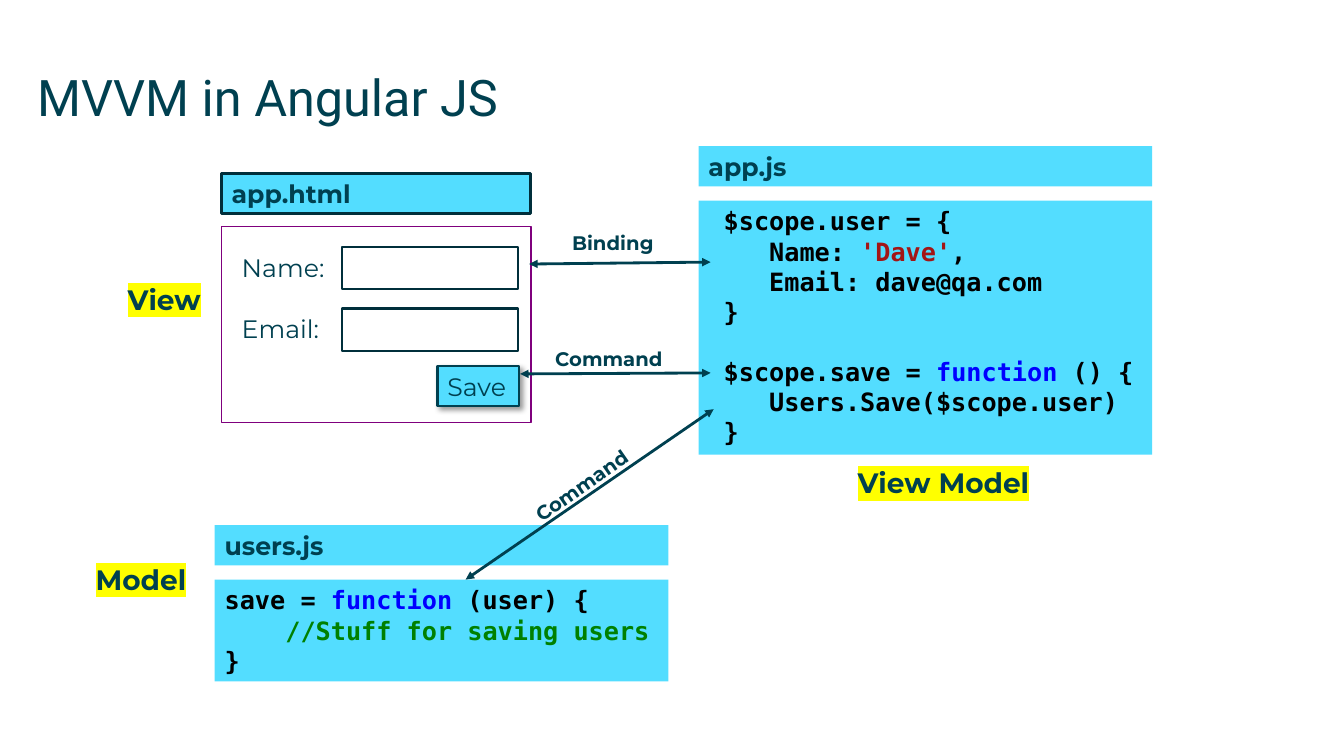
import lxml.etree
import pptx
import pptx.dml.color
import pptx.enum.shapes
import pptx.enum.text
import pptx.oxml.ns
import pptx.util

Pt = pptx.util.Pt
qn = pptx.oxml.ns.qn
Align = pptx.enum.text.PP_ALIGN
HUES = {
    "ink": "004050", "dark": "002F3B", "cyan": "53DDFF", "white": "FFFFFF",
    "plum": "7F007D", "black": "000000", "red": "A31515", "blue": "0000FF",
    "green": "008000", "glow": "FFFF00",
}


def hue(name):
    return pptx.dml.color.RGBColor.from_string(HUES[name])


def add(parent, tag, **attrs):
    return lxml.etree.SubElement(parent, qn(tag), attrs)


class Board:
    sans = "Montserrat"
    mono = "DejaVu Sans Mono"
    head = "Roboto"
    gap = 38.9
    bar = 28.8

    def __init__(self, slide):
        self.shapes = slide.shapes

    def letter(self, shape, lines, size=18, font=sans, bold=False,
               align=Align.LEFT, mark=False, inset=(7.2, 3.6), wrap=True):
        frame = shape.text_frame
        frame.word_wrap = wrap
        frame.vertical_anchor = pptx.enum.text.MSO_ANCHOR.TOP
        frame.margin_left = frame.margin_right = Pt(inset[0])
        frame.margin_top = frame.margin_bottom = Pt(inset[1])
        for i, line in enumerate(lines):
            para = frame.add_paragraph() if i else frame.paragraphs[0]
            para.alignment = align
            for text, tint in line:
                run = para.add_run()
                run.text = text
                run.font.size = Pt(size)
                run.font.bold = bold
                run.font.name = font
                run.font.color.rgb = hue(tint)
                if mark:
                    props = run.font._element
                    light = add(props, "a:highlight")
                    add(light, "a:srgbClr", val=HUES["glow"])
                    props.find(qn("a:solidFill")).addnext(light)
        return frame

    def text(self, words, x, y, w, h, turn=0, **style):
        box = self.shapes.add_textbox(Pt(x), Pt(y), Pt(w), Pt(h))
        box.rotation = turn
        self.letter(box, [[(words, "ink")]], **style)

    def rect(self, x, y, w, h, fill="cyan", edge=None, width=1.5):
        kind = pptx.enum.shapes.MSO_SHAPE.RECTANGLE
        shape = self.shapes.add_shape(kind, Pt(x), Pt(y), Pt(w), Pt(h))
        shape.shadow.inherit = False
        shape.fill.solid()
        shape.fill.fore_color.rgb = hue(fill)
        if edge:
            shape.line.color.rgb = hue(edge)
            shape.line.width = Pt(width)
        else:
            shape.line.fill.background()
        return shape

    def title(self, name, x, y, w, edge=None):
        shape = self.rect(x, y - self.gap, w, self.bar, edge=edge, width=2)
        self.letter(shape, [[(name, "ink")]], bold=True)

    def code(self, name, x, y, w, h, lines):
        self.title(name, x, y, w)
        return self.letter(self.rect(x, y, w, h), lines, font=self.mono, bold=True)

    def field(self, name, y):
        self.text(name, 165.6, y, 78, self.bar)
        self.rect(244.1, y, 126, 30.2, "white", "dark")

    def button(self, name, x, y, w):
        shape = self.rect(x, y, w, self.bar, edge="ink")
        self.letter(shape, [[(name, "ink")]])
        effects = shape._element.spPr.find(qn("a:effectLst"))
        shade = add(effects, "a:outerShdw", blurRad=str(Pt(4)), dist=str(Pt(3)),
                    dir="2700000", algn="tl", rotWithShape="0")
        tint = add(shade, "a:srgbClr", val=HUES["black"])
        add(tint, "a:alpha", val="40000")

    def role(self, name, x, y, w, align=Align.LEFT):
        self.text(name, x, y, w, 31.7, size=20, bold=True, mark=True, align=align)

    def link(self, name, start, end, label, turn=0):
        kind = pptx.enum.shapes.MSO_CONNECTOR.STRAIGHT
        line = self.shapes.add_connector(kind, *map(Pt, start + end))
        line.line.color.rgb = hue("ink")
        line.line.width = Pt(2)
        stroke = line.line._get_or_add_ln()
        add(stroke, "a:headEnd", type="triangle")
        add(stroke, "a:tailEnd", type="triangle")
        add(line._element.spPr, "a:effectLst")
        self.text(name, *label, turn=turn, size=14, bold=True,
                  align=Align.CENTER, wrap=False)


def main():
    deck = pptx.Presentation()
    deck.slide_width, deck.slide_height = Pt(960), Pt(540)
    board = Board(deck.slides.add_slide(deck.slide_layouts[6]))

    board.text("MVVM in Angular JS", 26.6, 43.9, 907.2, 63.4,
               size=36, font=board.head, inset=(0, 3.6))

    board.rect(158.4, 162, 221, 139.7, "white", "plum", 1)
    board.title("app.html", 158.4, 162.7, 220.3, "dark")
    for row, name in enumerate(["Name:", "Email:"]):
        board.field(name, 176.4 + 44 * row)
    board.button("Save", 312.5, 261.4, 58.3)

    frame = board.code("app.js", 499, 143.3, 324, 181.4, [
        [(" $scope.user = {", "black")],
        [("    Name: ", "black"), ("'Dave'", "red"), (",", "black")],
        [("    Email: dave@qa.com", "black")],
        [(" }", "black")],
        [(" $scope.save = ", "black"), ("function", "blue"), (" () {", "black")],
        [("    Users.Save($scope.user)", "black")],
        [(" }", "black")],
    ])
    frame.paragraphs[4].space_before = Pt(21)

    board.code("users.js", 153.4, 414, 324, 72.7, [
        [("save = ", "black"), ("function", "blue"), (" (user) {", "black")],
        [("    ", "black"), ("//Stuff for saving users", "green")],
        [("}", "black")],
    ])

    board.role("View", 84.2, 198, 117.4)
    board.role("View Model", 577.4, 329, 164.9, Align.RIGHT)
    board.role("Model", 61.2, 398.2, 104.4)

    board.link("Binding", (378, 188.6), (507.6, 187.2), (400.3, 161.3, 74.9, 41))
    board.link("Command", (371.5, 267.1), (507.6, 266.4), (388.8, 244.1, 92.2, 41))
    board.link("Command", (332.6, 414), (509.8, 292.3),
               (369.4, 334.8, 92.2, 24.5), 325.1)

    deck.save("out.pptx")


if __name__ == "__main__":
    main()
